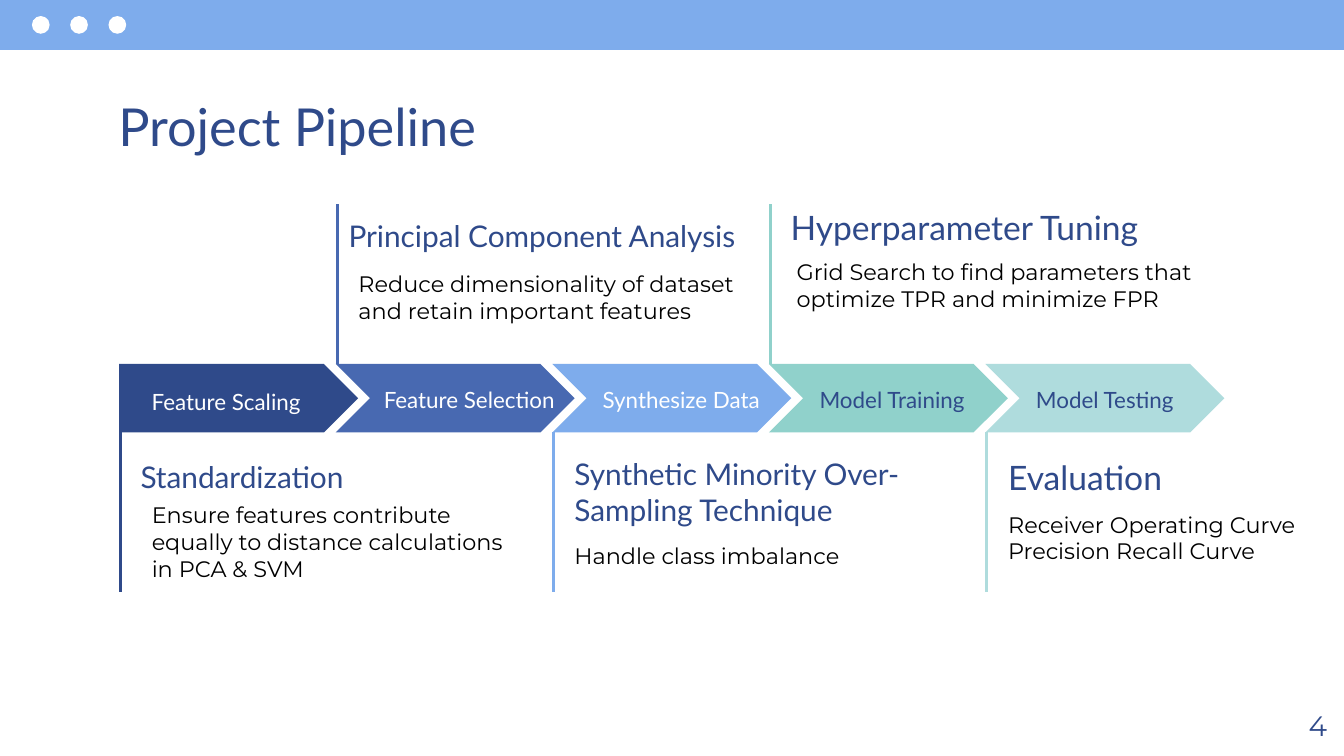
import pptx
import pptx.util
from pptx.dml.color import RGBColor
from pptx.enum.shapes import MSO_CONNECTOR, MSO_SHAPE
from pptx.enum.text import MSO_ANCHOR, MSO_AUTO_SIZE, PP_ALIGN
from pptx.oxml.ns import qn
from lxml import etree

Pt = pptx.util.Pt

# Content: boxes are (left, top, width, height) in points
NAVY, INDIGO, SKY, TEAL, MINT = "2F4A8A", "4869B1", "7EACEC", "90D1CB", "AFDCDD"
WHITE, BLACK = "FFFFFF", "000000"

TITLE = "Project Pipeline"
PAGE_NUMBER = "4"

STAGES = [
    dict(label="Feature Scaling", label_box=(74.2, 196.6, 128, 36.7),
         color=NAVY, label_color=WHITE, side="below",
         heading="Standardization", heading_size=16, heading_box=(68.2, 238.3, 203, 28),
         details=["Ensure features contribute equally to distance calculations in PCA & SVM"],
         details_box=(74.2, 261.4, 214.6, 59)),
    dict(label="Feature Selection", label_box=(198.5, 198, 111.6, 31.7),
         color=INDIGO, label_color=WHITE, side="above",
         heading="Principal Component Analysis", heading_size=16, heading_box=(179.7, 109.4, 272, 28),
         details=["Reduce dimensionality of dataset and retain important features"],
         details_box=(185, 137.5, 218.9, 42.5)),
    dict(label="Synthesize Data", label_box=(315.8, 198, 100.8, 31.7),
         color=SKY, label_color=WHITE, side="below",
         heading="Synthetic Minority Over-Sampling Technique", heading_size=16,
         heading_box=(300.7, 236.9, 232.6, 28),
         details=["Handle class imbalance"], details_box=(300.7, 283, 191.5, 42.5)),
    dict(label="Model Training", label_box=(432, 198, 108, 31.7),
         color=TEAL, label_color=NAVY, side="above",
         heading="Hyperparameter Tuning", heading_size=18, heading_box=(416.4, 103.7, 214.6, 28),
         details=["Grid Search to find parameters that optimize TPR and minimize FPR"],
         details_box=(419.7, 131.3, 232.6, 42.5)),
    dict(label="Model Testing", label_box=(547.9, 198, 108, 31.7),
         color=MINT, label_color=NAVY, side="below",
         heading="Evaluation", heading_size=18, heading_box=(533, 237.6, 149.8, 28),
         details=["Receiver Operating Curve", "Precision Recall Curve"],
         details_box=(533, 266.4, 170.6, 42.5)),
]

# Layout of the arrow row
ROW_LEFT, ROW_TOP, STAGE_STEP = 63.9, 195, 116
STAGE_WIDTH, STAGE_HEIGHT = 128, 36.7
STEM_INSET, STEM_LENGTH = 0.8, 85.6

deck = pptx.Presentation()
deck.slide_width, deck.slide_height = Pt(720), Pt(405)
slide = deck.slides.add_slide(deck.slide_layouts[5])


def rgb(color):
    return RGBColor.from_string(color)


def add_filled(preset, box, color):
    shape = slide.shapes.add_shape(preset, *map(Pt, box))
    shape.shadow.inherit = False
    shape.fill.solid()
    shape.fill.fore_color.rgb = rgb(color)
    shape.line.fill.background()


def add_stem(x, start, end, color):
    stem = slide.shapes.add_connector(MSO_CONNECTOR.STRAIGHT, Pt(x), Pt(start), Pt(x), Pt(end))
    stem.line.color.rgb = rgb(color)
    stem.line.width = Pt(1.5)
    etree.SubElement(stem._element.spPr, qn("a:effectLst"))


def write(shape, paragraphs, size, font, color, anchor=MSO_ANCHOR.TOP):
    frame = shape.text_frame
    frame.word_wrap = True
    frame.auto_size = MSO_AUTO_SIZE.NONE
    frame.vertical_anchor = anchor
    frame.margin_left = frame.margin_right = Pt(7.2)
    frame.margin_top = frame.margin_bottom = Pt(7.2)
    frame.text = "\n".join(paragraphs)
    for paragraph in frame.paragraphs:
        paragraph.alignment = PP_ALIGN.LEFT
        paragraph.font.size = Pt(size)
        paragraph.font.name = font
        paragraph.font.color.rgb = rgb(color)


def add_text(box, *style):
    write(slide.shapes.add_textbox(*map(Pt, box)), *style)


# Top bar with three dots
add_filled(MSO_SHAPE.RECTANGLE, (0, 0, 720, 26.8), SKY)
for i in range(3):
    add_filled(MSO_SHAPE.OVAL, (17.1 + 20.5 * i, 8.6, 9.5, 9.5), WHITE)

# Title
title = slide.shapes.title
title.left, title.top, title.width, title.height = map(Pt, (56.2, 43.2, 607.7, 36.7))
write(title, [TITLE], 28, "Lato", NAVY)

# Arrows and stems
for i, stage in enumerate(STAGES):
    left = ROW_LEFT + i * STAGE_STEP
    preset = MSO_SHAPE.CHEVRON if i else MSO_SHAPE.PENTAGON
    add_filled(preset, (left, ROW_TOP, STAGE_WIDTH, STAGE_HEIGHT), stage["color"])
    if stage["side"] == "above":
        start, end = ROW_TOP - STEM_LENGTH, ROW_TOP
    else:
        start = ROW_TOP + STAGE_HEIGHT
        end = start + STEM_LENGTH
    add_stem(left + STEM_INSET, start, end, stage["color"])

# Stage labels, headings and details
for stage in STAGES:
    add_text(stage["label_box"], [stage["label"]], 12, "Lato", stage["label_color"], MSO_ANCHOR.MIDDLE)
    add_text(stage["heading_box"], [stage["heading"]], stage["heading_size"], "Lato", NAVY)
    add_text(stage["details_box"], stage["details"], 12, "Montserrat", BLACK)

# Page number
add_text((694, 372.3, 23, 32.4), [PAGE_NUMBER], 15, "Montserrat", NAVY)

deck.save("out.pptx")
